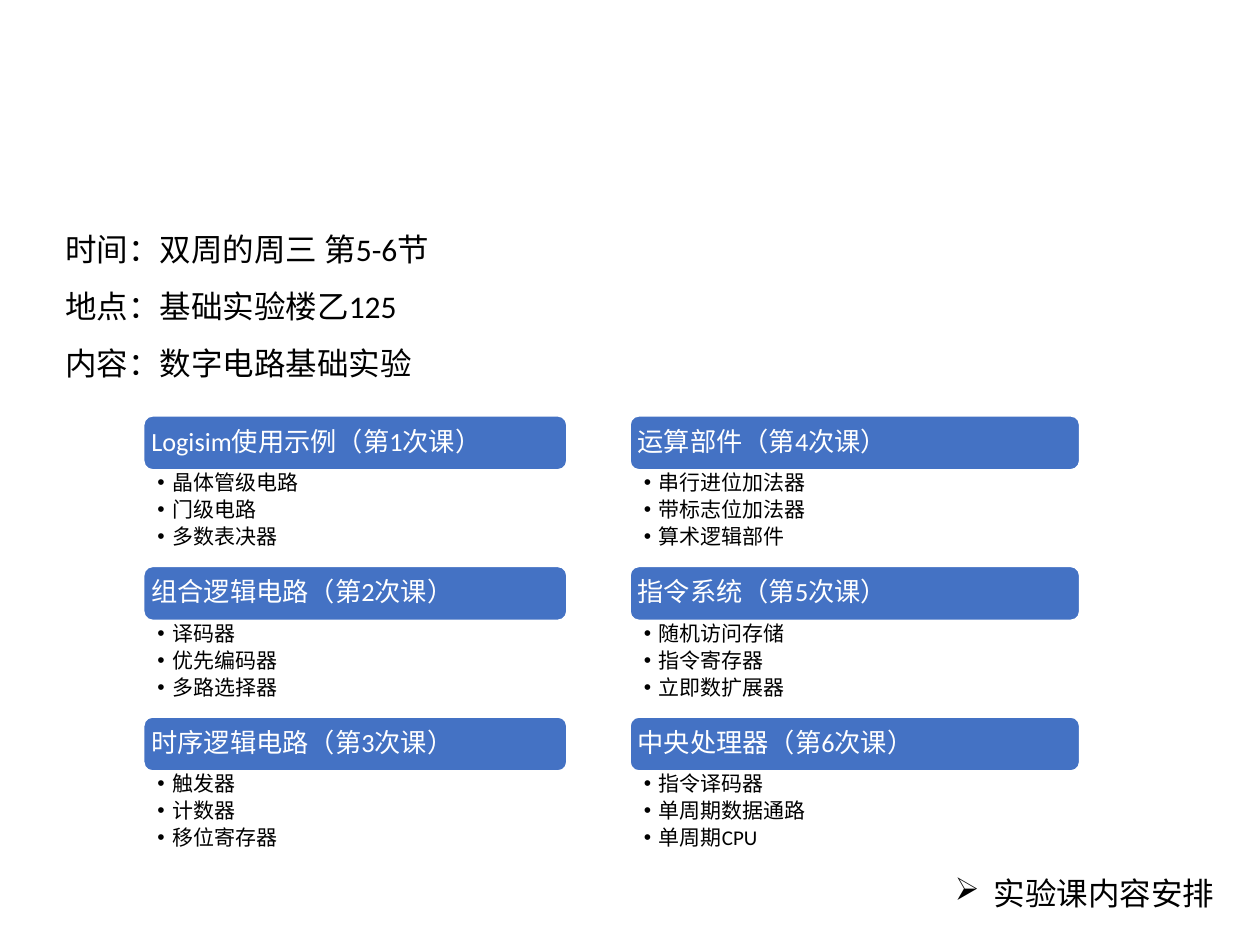
from pptx import Presentation
from pptx.dml.color import RGBColor
from pptx.enum.shapes import MSO_SHAPE as Shape
from pptx.enum.text import MSO_ANCHOR as Anchor, MSO_AUTO_SIZE as AutoSize, PP_ALIGN as Align
from pptx.oxml.ns import qn
from pptx.util import Inches, Pt
from lxml.etree import SubElement

# Content
FOOTER = "实验课内容安排"
DETAILS = ["时间：双周的周三 第5-6节", "地点：基础实验楼乙125", "内容：数字电路基础实验"]
COLUMNS = [
    [("Logisim使用示例（第1次课）", ["晶体管级电路", "门级电路", "多数表决器"]),
     ("组合逻辑电路（第2次课）", ["译码器", "优先编码器", "多路选择器"]),
     ("时序逻辑电路（第3次课）", ["触发器", "计数器", "移位寄存器"])],
    [("运算部件（第4次课）", ["串行进位加法器", "带标志位加法器", "算术逻辑部件"]),
     ("指令系统（第5次课）", ["随机访问存储", "指令寄存器", "立即数扩展器"]),
     ("中央处理器（第6次课）", ["指令译码器", "单周期数据通路", "单周期CPU"])],
]

# Layout in inches
COLUMN_SPANS = [(1.14, 3.36), (5, 3.57)]  # left, width
GRID_TOP, HEADER_HEIGHT, LIST_HEIGHT = 3.3, 0.43, 0.765
ROW_HEIGHT = HEADER_HEIGHT + LIST_HEIGHT

FONT, BLUE, WHITE, BLACK = "Calibri", "4472C4", "FFFFFF", "000000"


def color(value):
    return RGBColor.from_string(value)


def set_margins(frame, left, top, right, bottom):
    frame.margin_left, frame.margin_top = Inches(left), Inches(top)
    frame.margin_right, frame.margin_bottom = Inches(right), Inches(bottom)


def add_bullet(paragraph, character, indent):
    properties = paragraph._p.get_or_add_pPr()
    properties.set("marL", str(Inches(indent)))
    properties.set("indent", str(-Inches(indent)))
    if character == "➢":
        SubElement(properties, qn("a:buFont"), typeface="Wingdings")
        character = "Ø"
    else:
        SubElement(properties, qn("a:buFont"), typeface="Arial")
    SubElement(properties, qn("a:buChar"), char=character)


def write(frame, lines, size, text_color, spacing, after=0, bullet=None, indent=0):
    for index, line in enumerate(lines):
        paragraph = frame.add_paragraph() if index else frame.paragraphs[0]
        paragraph.text = line
        if bullet:
            add_bullet(paragraph, bullet, indent)
        paragraph.alignment = Align.LEFT
        paragraph.line_spacing = spacing
        paragraph.space_after = Pt(after)
        font = paragraph.font
        font.name, font.size, font.color.rgb = FONT, Pt(size), color(text_color)


def add_text(slide, left, top, width, height, wrap=True):
    box = slide.shapes.add_textbox(Inches(left), Inches(top), Inches(width), Inches(height))
    box.text_frame.word_wrap = wrap
    return box.text_frame


def add_lesson(slide, left, top, width, title, topics):
    # Header bar
    header = slide.shapes.add_shape(Shape.ROUNDED_RECTANGLE, Inches(left), Inches(top),
                                    Inches(width), Inches(HEADER_HEIGHT))
    header.shadow.inherit = False
    header.fill.solid()
    header.fill.fore_color.rgb = color(BLUE)
    header.line.color.rgb = color(WHITE)
    header.line.width = Pt(1)
    frame = header.text_frame
    frame.word_wrap = True
    frame.vertical_anchor = Anchor.MIDDLE
    set_margins(frame, 0.04, 0.06, 0.04, 0.06)
    write(frame, [title], 15, WHITE, 0.9)

    # Topic list
    frame = add_text(slide, left, top + HEADER_HEIGHT, width, LIST_HEIGHT)
    set_margins(frame, 0.11, 0.02, 0.12, 0.02)
    write(frame, topics, 12, BLACK, 0.9, after=2.4, bullet="•", indent=0.12)


def main():
    presentation = Presentation()
    presentation.slide_width, presentation.slide_height = Inches(10), Inches(7.5)
    slide = presentation.slides.add_slide(presentation.slide_layouts[6])

    # Section label
    frame = add_text(slide, 7.48, 6.74, 2.28, 0.51, wrap=False)
    frame.auto_size = AutoSize.SHAPE_TO_FIT_TEXT
    write(frame, [FOOTER], 18, BLACK, 1.5, bullet="➢", indent=0.31)

    # Time, place and subject
    frame = add_text(slide, 0.42, 1.63, 3.57, 1.87)
    frame.auto_size = AutoSize.SHAPE_TO_FIT_TEXT
    write(frame, DETAILS, 18, BLACK, 1.5)

    # Lesson grid
    for (left, width), lessons in zip(COLUMN_SPANS, COLUMNS):
        for row, (title, topics) in enumerate(lessons):
            add_lesson(slide, left, GRID_TOP + row * ROW_HEIGHT, width, title, topics)

    presentation.save("out.pptx")


if __name__ == "__main__":
    main()
